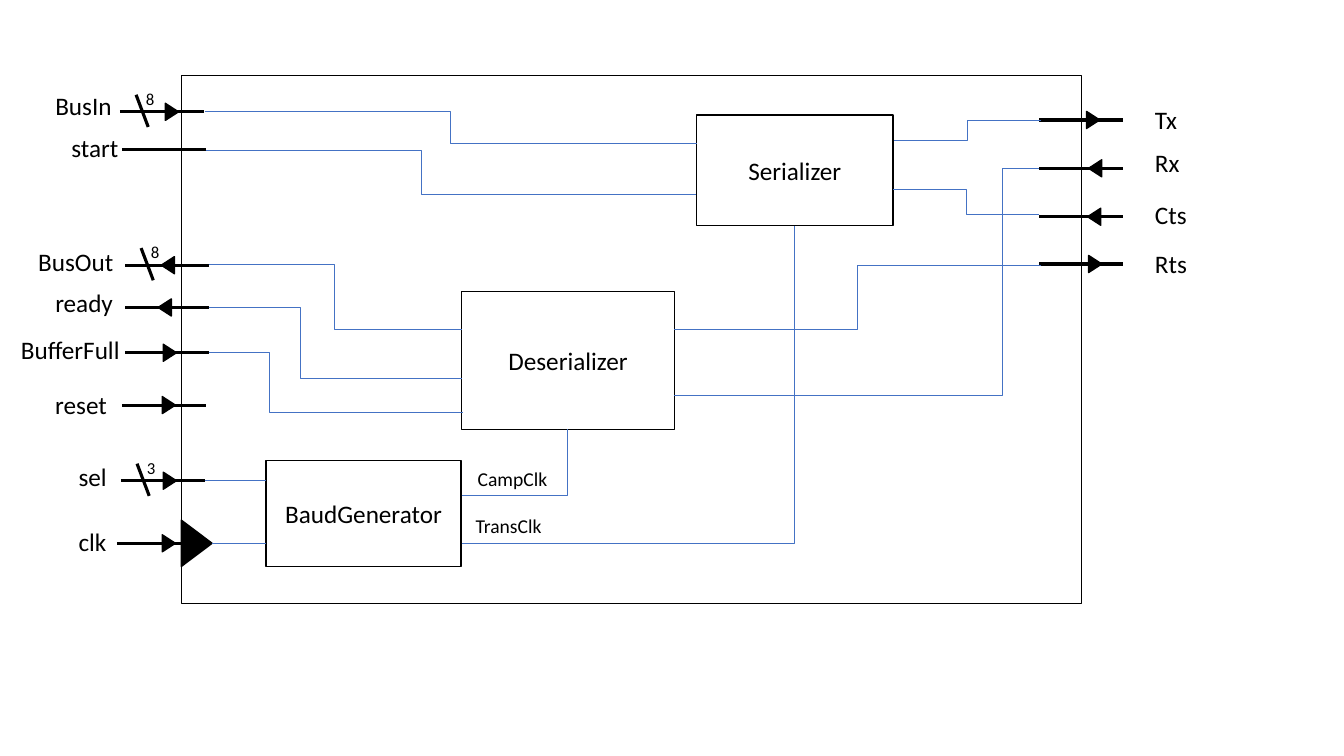
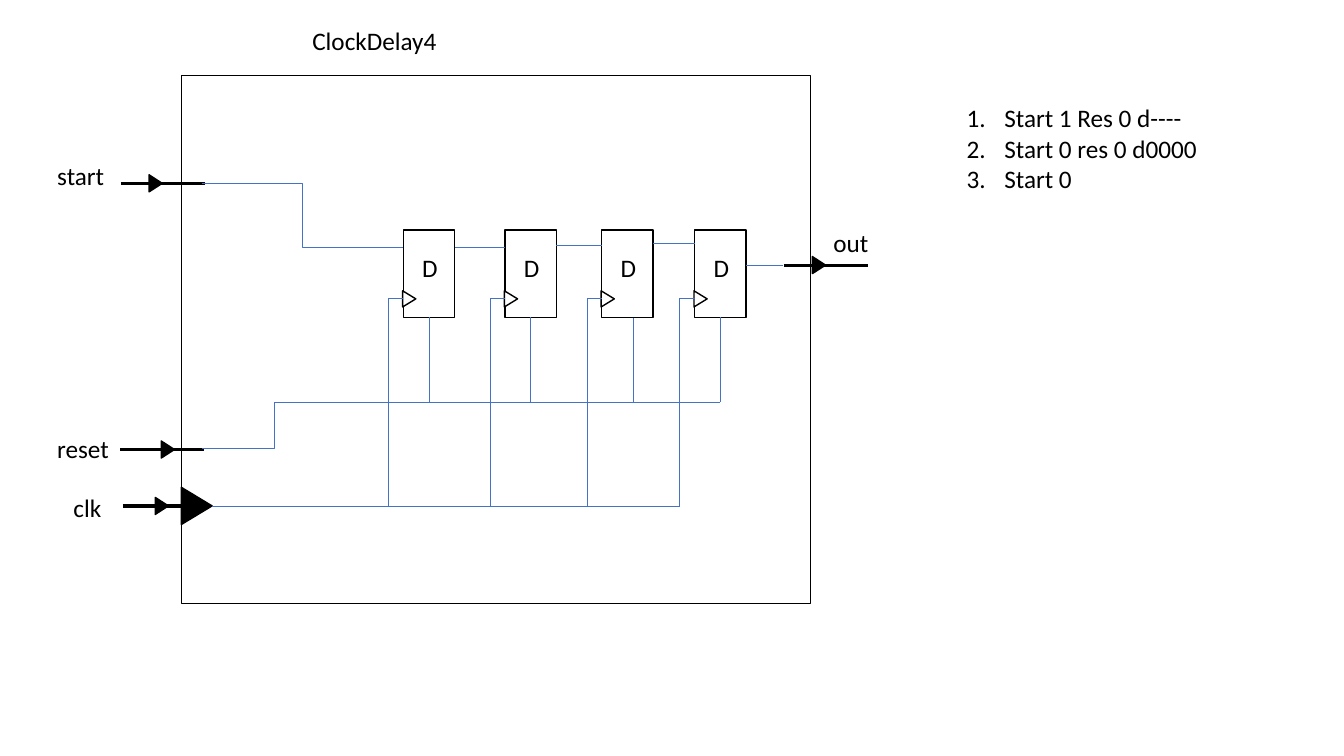
from typing import NamedTuple

import pptx
import pptx.dml.color
import pptx.enum.shapes
import pptx.enum.text
import pptx.oxml.ns
import pptx.util
from lxml import etree

Pt = pptx.util.Pt
SHAPE = pptx.enum.shapes.MSO_SHAPE
CONNECTOR = pptx.enum.shapes.MSO_CONNECTOR
qn = pptx.oxml.ns.qn

BLACK = pptx.dml.color.RGBColor(0x00, 0x00, 0x00)
WHITE = pptx.dml.color.RGBColor(0xFF, 0xFF, 0xFF)
WIRE_BLUE = pptx.dml.color.RGBColor(0x44, 0x72, 0xC4)
FONT = "Calibri"

# Lengths in points
LEAD_LENGTH = 60
CHIP_LEFT, CHIP_TOP, CHIP_HEIGHT = 129.6, 54, 377.3
FLIP_FLOP_TOP, FLIP_FLOP_WIDTH, FLIP_FLOP_HEIGHT = 164.2, 36.7, 62.6
RIGHT, LEFT = 90, 270  # rotations of an upright triangle


class Port(NamedTuple):
    name: str
    label_x: float
    label_y: float
    label_width: float
    lead_x: float
    y: float
    arrow_x: float = 0
    direction: int = 0
    bus_width: str = ""


UART_PORTS = [
    Port("BusIn", 32.4, 61.2, 68, 85.7, 79.9, 122.8, RIGHT, "8"),
    Port("start", 43.9, 90.7, 53, 87.1, 106.6),
    Port("BusOut", 20.2, 172.1, 68, 89.3, 189.4, 119.9, LEFT, "8"),
    Port("ready", 32.4, 201.6, 60, 89.3, 219.6, 117.7, LEFT),
    Port("BufferFull", 7.9, 235.4, 86, 89.3, 252, 121.3, RIGHT),
    Port("reset", 32.4, 274.3, 53, 87.1, 289.4, 120.6, RIGHT),
    Port("sel", 49, 326.2, 68, 86.4, 343.4, 121.3, RIGHT, "3"),
    Port("clk", 49, 372.2, 68, 83.5, 388.1, 120.6, RIGHT),
    Port("Tx", 817.9, 71.3, 36, 742.3, 85.7, 780.8, RIGHT),
    Port("Rx", 817.9, 101.5, 36, 742.3, 120.2, 782.3, LEFT),
    Port("Cts", 817.9, 139, 53, 742.3, 154.8, 781.6, LEFT),
    Port("Rts", 817.9, 174.2, 53, 742.3, 188.6, 782.3, RIGHT),
]

DELAY_PORTS = [
    Port("start", 33.8, 110.9, 53, 86.4, 131, 111.2, RIGHT),
    Port("reset", 33.8, 306, 53, 86, 321.1, 119.9, RIGHT),
    Port("clk", 45.4, 347.8, 53, 87.8, 361.4, 115.6, RIGHT),
    Port("out", 588.2, 159.1, 53, 560.2, 189.4, 585, RIGHT),
]

# Start, end and x of the vertical part
UART_WIRES = [
    ((146.2, 79.2), (497.5, 102.2), 321.8),    # BusIn
    ((146.9, 107.3), (497.5, 139), 301),       # start
    ((149, 188.6), (329.8, 235.4), 239),       # BusOut
    ((149, 219.6), (329.8, 270), 214.6),       # ready
    ((149, 252), (331, 294.5), 192.2),         # BufferFull
    ((743.8, 85.7), (638.6, 100.1), 691.2),    # Tx
    ((742.3, 120.2), (481.7, 282.2), 715.7),   # Rx
    ((742.3, 153.4), (637.9, 135.4), 690),     # Cts
    ((743.8, 189.4), (481.7, 235.4), 612.7),   # Rts
    ((329.8, 354.2), (405.4, 306.7), 405.4),   # CampClk
    ((329.8, 388.1), (567.4, 161.3), 567.4),   # TransClk
]


def style_text(paragraph, size=18):
    paragraph.font.name = FONT
    paragraph.font.size = Pt(size)
    paragraph.font.color.rgb = BLACK


def add_label(slide, x, y, width, *lines, size=18, height=28.8):
    label = slide.shapes.add_textbox(Pt(x), Pt(y), Pt(width), Pt(height))
    frame = label.text_frame
    frame.word_wrap = True
    frame.auto_size = pptx.enum.text.MSO_AUTO_SIZE.SHAPE_TO_FIT_TEXT
    frame.text = "\n".join(lines)
    for paragraph in frame.paragraphs:
        style_text(paragraph, size)
    return frame


def number_paragraphs(frame):
    for paragraph in frame.paragraphs:
        properties = paragraph._p.get_or_add_pPr()
        properties.set("marL", str(Pt(27)))
        properties.set("indent", str(-Pt(27)))
        etree.SubElement(properties, qn("a:buFont"), typeface="+mj-lt")
        etree.SubElement(properties, qn("a:buAutoNum"), type="arabicPeriod")


def add_outline(slide, kind, x, y, width, height, fill=WHITE):
    outline = slide.shapes.add_shape(kind, Pt(x), Pt(y), Pt(width), Pt(height))
    outline.shadow.inherit = False
    outline.fill.solid()
    outline.fill.fore_color.rgb = fill
    outline.line.color.rgb = BLACK
    outline.line.width = Pt(1)
    return outline


def add_block(slide, x, y, width, height, name=""):
    block = add_outline(slide, SHAPE.RECTANGLE, x, y, width, height)
    if name:
        block.text_frame.text = name
        block.text_frame.vertical_anchor = pptx.enum.text.MSO_ANCHOR.MIDDLE
        paragraph = block.text_frame.paragraphs[0]
        paragraph.alignment = pptx.enum.text.PP_ALIGN.CENTER
        style_text(paragraph)
    return block


def add_arrow(slide, center_x, center_y, base=12.2, depth=9.4,
              direction=RIGHT, fill=BLACK):
    arrow = add_outline(slide, SHAPE.ISOSCELES_TRIANGLE, center_x - base / 2,
                        center_y - depth / 2, base, depth, fill)
    arrow.rotation = direction


def add_line(slide, start, end, color=WIRE_BLUE, width=0.5,
             kind=CONNECTOR.STRAIGHT):
    line = slide.shapes.add_connector(
        kind, Pt(start[0]), Pt(start[1]), Pt(end[0]), Pt(end[1]))
    line.line.color.rgb = color
    line.line.width = Pt(width)
    etree.SubElement(line._element.spPr, qn("a:effectLst"))
    return line


def add_elbow(slide, start, end, turn_x):
    elbow = add_line(slide, start, end, kind=CONNECTOR.ELBOW)
    share = (turn_x - start[0]) / (end[0] - start[0])
    geometry = elbow._element.spPr.find(qn("a:prstGeom"))
    adjustments = geometry.find(qn("a:avLst"))
    if adjustments is None:
        adjustments = etree.SubElement(geometry, qn("a:avLst"))
    etree.SubElement(adjustments, qn("a:gd"), name="adj1",
                     fmla=f"val {round(share * 100000)}")


def add_port(slide, port):
    add_label(slide, port.label_x, port.label_y, port.label_width, port.name)
    x, y = port.lead_x, port.y
    add_line(slide, (x, y), (x + LEAD_LENGTH, y), BLACK, 2.25)
    if port.bus_width:
        add_line(slide, (x + 11.5, y - 12.2), (x + 20.2, y + 10.8), BLACK, 2.25)
        add_label(slide, x + 11.5, y - 20.2, 31, port.bus_width,
                  size=12, height=21.6)
    if port.direction:
        add_arrow(slide, port.arrow_x, y, direction=port.direction)


def add_chip(deck, width, ports, clock_y, clock_base):
    slide = deck.slides.add_slide(deck.slide_layouts[6])
    add_block(slide, CHIP_LEFT, CHIP_TOP, width, CHIP_HEIGHT)
    for port in ports:
        add_port(slide, port)
    add_arrow(slide, 140.5, clock_y, clock_base, 22)
    return slide


def add_flip_flop(slide, x):
    block = add_block(slide, x, FLIP_FLOP_TOP, FLIP_FLOP_WIDTH, FLIP_FLOP_HEIGHT)
    add_arrow(slide, x + 4.3, 213.5, 11.5, 9.4, fill=WHITE)
    add_label(slide, x + 6.5, 176.4, 30.2, "D", height=25.2)
    return block


def build_uart(deck):
    slide = add_chip(deck, 643, UART_PORTS, clock_y=388.1, clock_base=33.1)

    # Inner blocks
    add_block(slide, 497.5, 82.1, 140.4, 79.2, "Serializer")
    add_block(slide, 329.8, 208.1, 151.9, 98.6, "Deserializer")
    add_block(slide, 190.1, 329, 139.2, 75.6, "BaudGenerator")

    # Wires and clock names
    for start, end, turn_x in UART_WIRES:
        add_elbow(slide, start, end, turn_x)
    add_line(slide, (146.2, 343.4), (190.1, 343.4))
    add_line(slide, (151.2, 388.1), (190.1, 388.1))
    add_label(slide, 334.1, 329.8, 83.5, "CampClk", size=14, height=24.5)
    add_label(slide, 332.6, 363.6, 83.5, "TransClk", size=14, height=24.5)


def build_clock_delay(deck):
    slide = add_chip(deck, 449.3, DELAY_PORTS, clock_y=361.4, clock_base=26.6)
    add_label(slide, 216, 14.4, 123.8, "ClockDelay4")

    # Flip-flops with their clock and reset taps
    lefts = [288, 360.7, 429.8, 496.1]
    reset_shifts = [0, 0, 4, 0]
    clock_gap, clock_y, reset_y = 10.5, 361.4, 287.3
    bottom = FLIP_FLOP_TOP + FLIP_FLOP_HEIGHT
    for x, shift in zip(lefts, reset_shifts):
        flip_flop = add_flip_flop(slide, x)
        tap_x = x - clock_gap
        add_line(slide, (x, 213.1), (tap_x, 213.1))
        add_line(slide, (tap_x, clock_y), (tap_x, 213.1))
        reset_x = x + FLIP_FLOP_WIDTH / 2 + shift
        reset_tap = add_line(slide, (reset_x, bottom), (reset_x, reset_y))
        if not shift:
            reset_tap.begin_connect(flip_flop, 2)

    # Data chain
    add_elbow(slide, (144, 131), (288, 176.4), 216)
    for x, next_x, y in zip(lefts, lefts[1:], [176.4, 175, 173.5]):
        add_line(slide, (x + FLIP_FLOP_WIDTH, y), (next_x, y))
    add_line(slide, (lefts[-1] + FLIP_FLOP_WIDTH, 189.4), (559.4, 189.4))

    # Shared clock and reset lines
    add_line(slide, (151.2, clock_y), (lefts[-1] - clock_gap, clock_y))
    add_elbow(slide, (144, 320.4), (247.7, reset_y), 195.8)
    add_line(slide, (247.7, reset_y), (514.4, reset_y))

    # Sequence of states
    states = add_label(slide, 683.3, 69.8, 236.9, "Start 1 Res 0 d----",
                       "Start 0 res 0 d0000", "Start 0", height=72.7)
    number_paragraphs(states)


def main():
    deck = pptx.Presentation()
    deck.slide_width = Pt(960)
    deck.slide_height = Pt(540)
    build_uart(deck)
    build_clock_delay(deck)
    deck.save("out.pptx")


if __name__ == "__main__":
    main()
